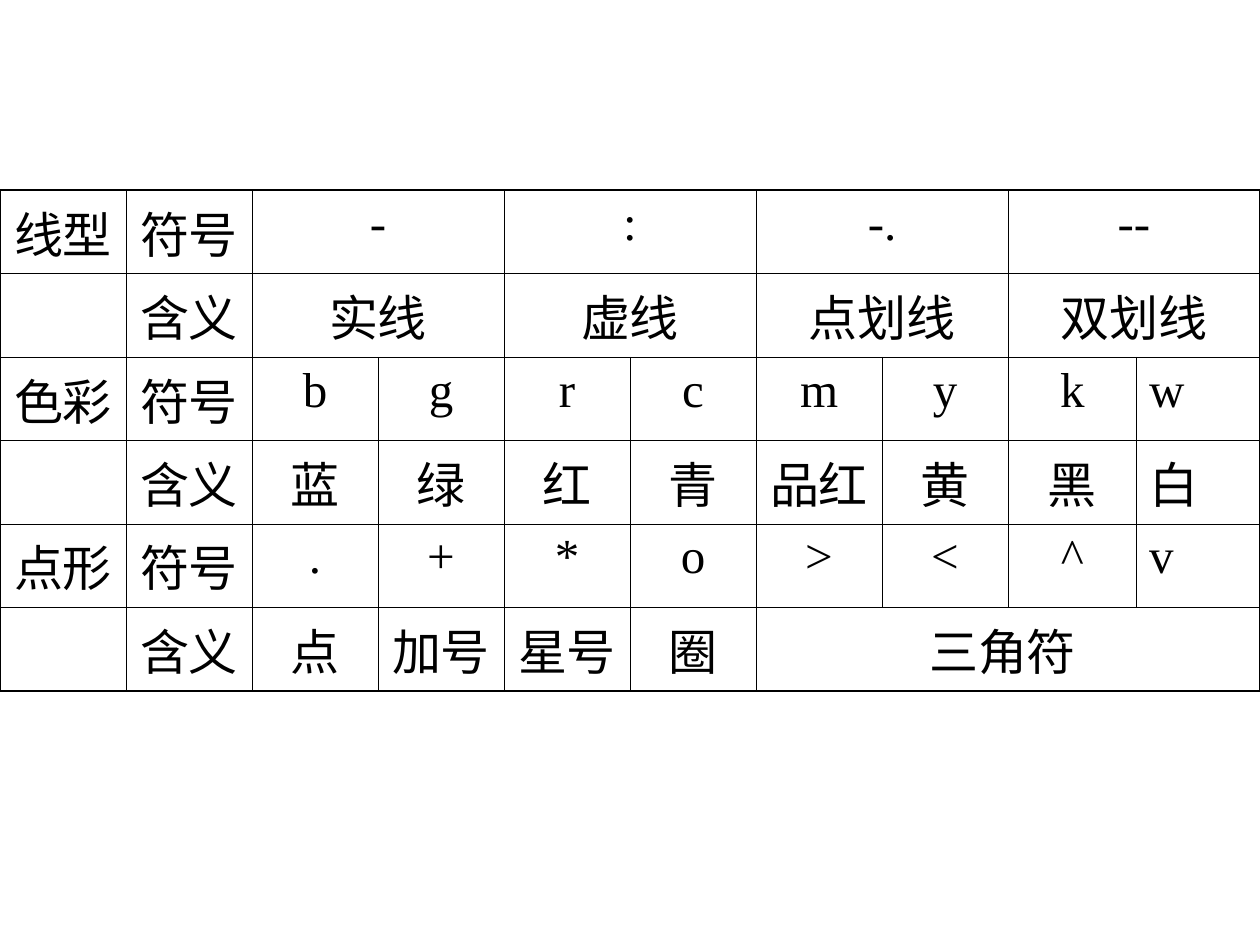
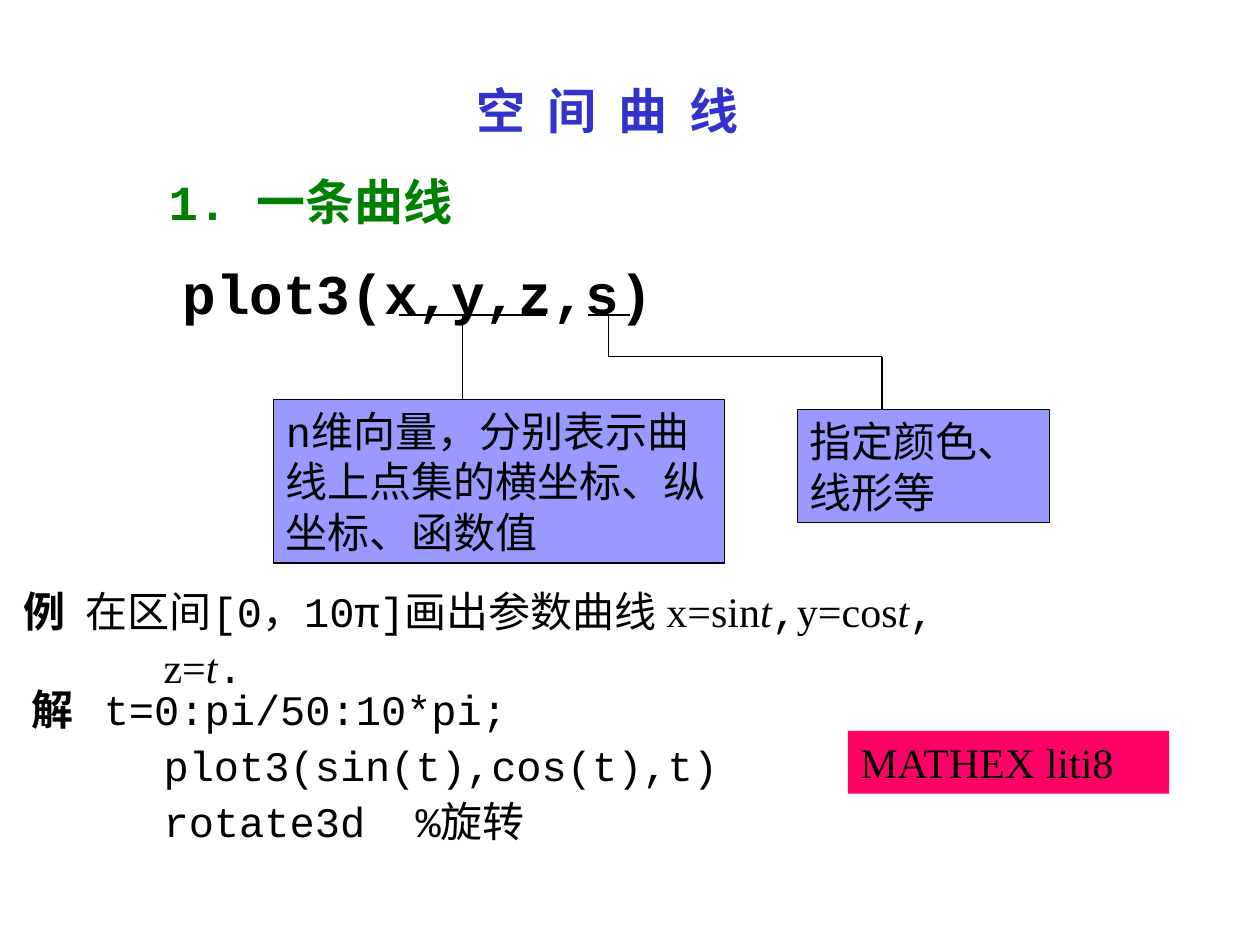
import pptx
import pptx.dml.color
import pptx.enum.lang
import pptx.enum.shapes
import pptx.enum.text
import pptx.oxml
import pptx.oxml.ns
import pptx.util

Inches = pptx.util.Inches
Pt = pptx.util.Pt
qn = pptx.oxml.ns.qn
new_element = pptx.oxml.xmlchemy.OxmlElement

SERIF, MONO = "Times New Roman", "Courier New"
BLACK, BLUE, GREEN, LILAC, PINK = "000000", "3333CC", "008000", "9999FF", "FF0066"
THIN, THICK = 0.45, 1.08

# Rows of (text, columns spanned)
STYLE_ROWS = [
    [("线型", 1), ("符号", 1), ("-", 2), (":", 2), ("-.", 2), ("--", 2)],
    [("", 1), ("含义", 1), ("实线", 2), ("虚线", 2), ("点划线", 2), ("双划线", 2)],
    [(text, 1) for text in ("色彩", "符号", *"bgrcmykw")],
    [(text, 1) for text in ("", "含义", "蓝", "绿", "红", "青", "品红", "黄", "黑", "白")],
    [(text, 1) for text in ("点形", "符号", *".+*o><^v")],
    [("", 1), ("含义", 1), ("点", 1), ("加号", 1), ("星号", 1), ("圈", 1), ("三角符 ", 4)],
]


def color(value):
    return pptx.dml.color.RGBColor.from_string(value)


def add_span(para, text, size, font=MONO, fill=BLACK, bold=False, italic=False, spread=0):
    """Add one run; spread is extra space after each letter, in points."""
    span = para.add_run()
    span.text = text
    span.font.size, span.font.name = Pt(size), font
    span.font.bold, span.font.italic = bold, italic
    span.font.color.rgb = color(fill)
    span.font.language_id = pptx.enum.lang.MSO_LANGUAGE_ID.SIMPLIFIED_CHINESE
    if spread:
        span._r.get_or_add_rPr().set("spc", str(round(spread * 100)))


def add_text_box(page, left, top, width, height):
    box = page.shapes.add_textbox(Inches(left), Inches(top), Inches(width), Inches(height))
    box.text_frame.word_wrap = True
    return box.text_frame


def add_heading(page, left, top, width, text, size, before=7, **style):
    para = add_text_box(page, left, top, width, 0.57).paragraphs[0]
    para.space_before = Pt(before)
    add_span(para, text, size, bold=True, **style)


def add_lines(page, top, width, height, lines):
    """Lines are (first-line indent, spans)."""
    frame = add_text_box(page, 0, top, width, height)
    for number, (first_line, spans) in enumerate(lines):
        para = frame.add_paragraph() if number else frame.paragraphs[0]
        para.line_spacing, para.space_before = 0.9, Pt(6)
        props = para._p.get_or_add_pPr()
        props.set("marL", "0")
        props.set("indent", str(Inches(first_line)))
        for text, style in spans:
            add_span(para, text, 24, **style)


def add_label(shapes, left, top, width, height, text, fill, font=MONO, outlined=True):
    label = shapes.add_shape(pptx.enum.shapes.MSO_SHAPE.RECTANGLE,
                             Inches(left), Inches(top), Inches(width), Inches(height))
    label.shadow.inherit = False
    label.fill.solid()
    label.fill.fore_color.rgb = color(fill)
    if outlined:
        label.line.color.rgb, label.line.width = color(BLACK), Pt(0.75)
    else:
        label.line.fill.background()
    frame = label.text_frame
    frame.word_wrap = True
    frame.vertical_anchor = pptx.enum.text.MSO_ANCHOR.TOP
    para = frame.paragraphs[0]
    para.alignment = pptx.enum.text.PP_ALIGN.LEFT
    para.space_before = Pt(15)
    add_span(para, text, 24, font)


def add_path(shapes, *points):
    """Join successive points with straight lines."""
    for start, end in zip(points, points[1:]):
        line = shapes.add_connector(pptx.enum.shapes.MSO_CONNECTOR.STRAIGHT,
                                    *(Inches(value) for value in start + end))
        line.line.color.rgb, line.line.width = color(BLACK), Pt(0.75)
        line._element.spPr.append(new_element("a:effectLst"))


def add_callout(page, underline, path, label_box, text):
    shapes = page.shapes.add_group_shape().shapes
    add_label(shapes, *label_box, text, LILAC)
    add_path(shapes, *underline)
    add_path(shapes, *path)


def set_borders(cell, widths):
    props = cell._tc.get_or_add_tcPr()
    for side, width in widths.items():
        edge = new_element("a:ln" + side)
        edge.set("w", str(Pt(width)))
        paint = new_element("a:solidFill")
        tone = new_element("a:srgbClr")
        tone.set("val", BLACK)
        paint.append(tone)
        edge.append(paint)
        props.append(edge)


def add_style_table(page, left, top, width, row_height):
    count, columns = len(STYLE_ROWS), 10
    table = page.shapes.add_table(count, columns, Inches(left), Inches(top),
                                  Inches(width), Inches(row_height * count)).table
    table.first_row = table.horz_banding = False
    table.columns[8].width, table.columns[9].width = Inches(1.02), Inches(0.98)
    for row, entries in enumerate(STYLE_ROWS):
        # Borders: heavier round the outside
        for column in range(columns):
            cell = table.cell(row, column)
            set_borders(cell, {"L": THICK if column == 0 else THIN,
                               "R": THICK if column == columns - 1 else THIN,
                               "T": THICK if row == 0 else THIN,
                               "B": THICK if row == count - 1 else THIN})
            cell.fill.background()
        # Text: centred, apart from single cells in the last column
        column = 0
        for text, across in entries:
            cell = table.cell(row, column)
            if across > 1:
                cell.merge(table.cell(row, column + across - 1))
                right_edge = cell._tc.tcPr.find(qn("a:lnR"))
                right_edge.set("w", str(Pt(THICK if column + across == columns else THIN)))
            if text:
                para = cell.text_frame.paragraphs[0]
                para.space_before = Pt(7)
                if column < columns - 1:
                    para.alignment = pptx.enum.text.PP_ALIGN.CENTER
                add_span(para, text, 28, SERIF)
            column += across


def build_style_page(page):
    add_style_table(page, 0, 1.51, 10, 0.66)


def build_curve_page(page):
    plain, bold = {}, {"bold": True}
    serif, variable = {"font": SERIF}, {"font": SERIF, "italic": True}

    # Headings and the call
    add_heading(page, 1.35, 2, 8.65, "plot3(x,y,z,s)", 32, before=8)
    add_heading(page, 3.68, 0.59, 2.38, "空 间 曲 线", 28, fill=BLUE, spread=3.2)
    add_heading(page, 1.24, 1.31, 4.1, "1. 一条曲线", 28, fill=GREEN)

    # Example and solution
    add_lines(page, 4.64, 10.83, 0.91, [
        (0.09, [("例", bold), (" ", {"bold": True, "spread": 6}),
                ("在区间[0，10π]画出参数曲线 ", plain),
                ("x=sin", serif), ("t", variable), (",", plain),
                ("y=cos", serif), ("t", variable), (",", plain)]),
        (1.2, [("z=", serif), ("t", variable), (".", plain)]),
    ])
    add_label(page.shapes, 6.73, 5.8, 2.55, 0.5, "MATHEX liti8", PINK, SERIF, outlined=False)
    add_lines(page, 5.42, 6.2, 1.35, [
        (0.15, [("解", bold), (" ", {"bold": True, "spread": 12}),
                ("t=0:pi/50:10*pi;", plain)]),
        (1.2, [("plot3(sin(t),cos(t),t)", plain)]),
        (1.2, [("rotate3d", plain), (" ", {"spread": 14.4}), ("%旋转", plain)]),
    ])

    # Notes on the arguments
    add_callout(page, [(3.17, 2.5), (4.33, 2.5)], [(3.67, 2.5), (3.67, 3.17)],
                (2.17, 3.17, 3.58, 1.3),
                "n维向量，分别表示曲线上点集的横坐标、纵坐标、函数值")
    add_callout(page, [(4.67, 2.5), (5, 2.5)],
                [(4.83, 2.5), (4.83, 2.83), (7, 2.83), (7, 3.25)],
                (6.33, 3.25, 2, 0.9), "指定颜色、线形等")


def main():
    deck = pptx.Presentation()
    deck.slide_width, deck.slide_height = Inches(10), Inches(7.5)
    for build in (build_style_page, build_curve_page):
        build(deck.slides.add_slide(deck.slide_layouts[6]))
    deck.save("out.pptx")


if __name__ == "__main__":
    main()
